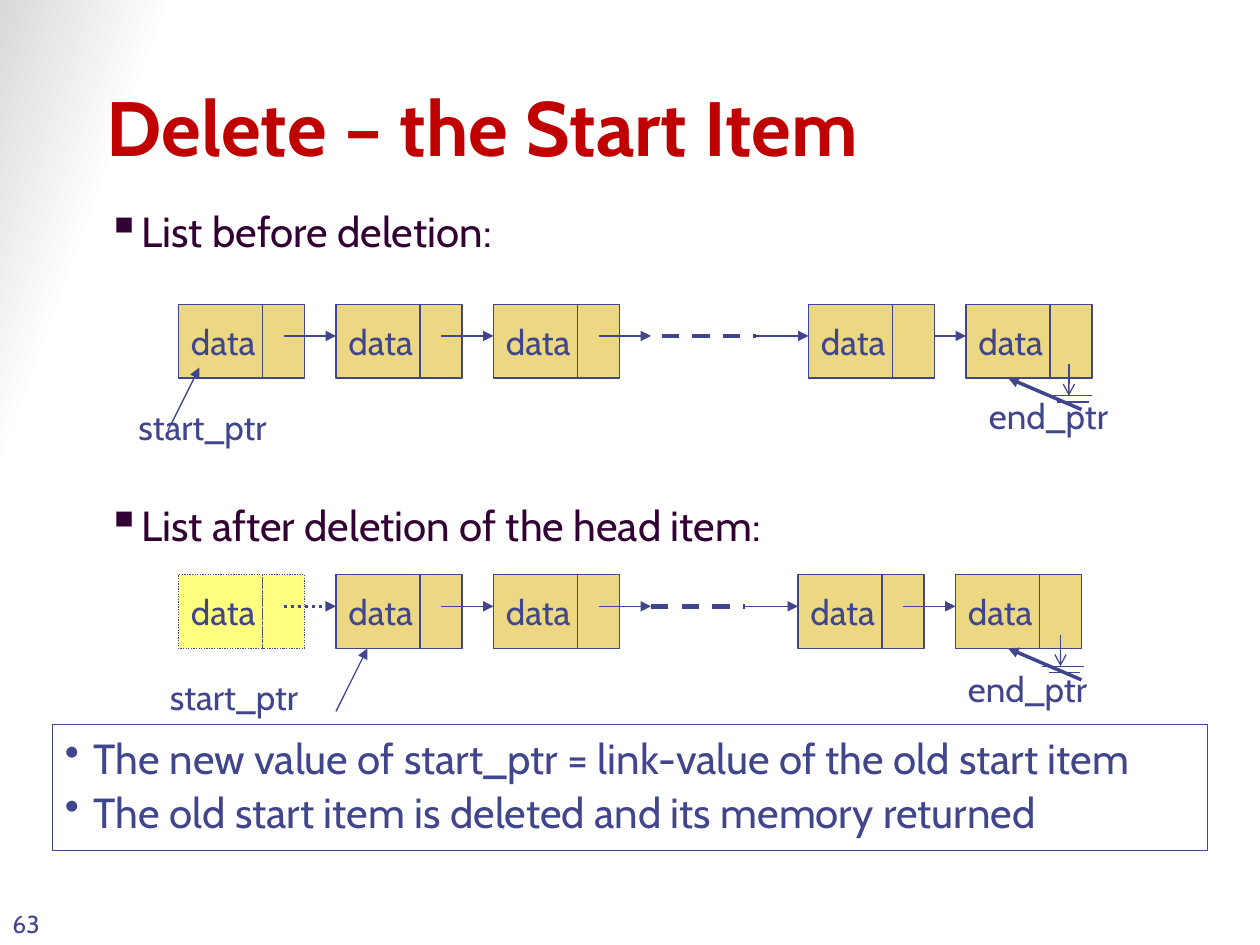
from dataclasses import dataclass

from lxml.etree import SubElement
from pptx import Presentation
from pptx.dml.color import RGBColor
from pptx.enum.dml import MSO_LINE
from pptx.enum.shapes import MSO_CONNECTOR, MSO_SHAPE
from pptx.enum.text import MSO_ANCHOR, PP_ALIGN
from pptx.oxml.ns import qn
from pptx.util import Inches, Pt

INK = RGBColor(0x40, 0x45, 0x8C)
PLUM = RGBColor(0x33, 0x00, 0x33)
RED = RGBColor(0xC0, 0x00, 0x00)
GOLD = RGBColor(0xEC, 0xD8, 0x82)
YELLOW = RGBColor(0xFF, 0xFF, 0x00)
WHITE = RGBColor(0xFF, 0xFF, 0xFF)
GREY = RGBColor(0xD9, 0xD9, 0xD9)
FONT = "Cabin"

# Grid of 120 columns by 90 rows, twelve cells to the inch
CELL = Inches(1) / 12
DATA_COLS, LINK_COLS, NODE_ROWS = 8, 4, 7
LINK_ROW = 3


@dataclass(frozen=True)
class Node:
    col: float
    linked: bool = True
    freed: bool = False


@dataclass(frozen=True)
class Pointer:
    label: str
    label_at: tuple[float, float]
    tail: tuple[float, float]
    head: tuple[float, float]
    width: float


@dataclass(frozen=True)
class LinkedList:
    """One chain of nodes; rows of its parts are counted from its top row."""
    row: float
    nodes: tuple[Node, ...]
    gap_col: float
    ground_col: float
    pointers: tuple[Pointer, ...]


BEFORE = LinkedList(
    29, (Node(17, linked=False), Node(32), Node(47), Node(92), Node(77)), 63, 101.8,
    (Pointer("start_ptr", (12, 9), (16, 12), (19, 6), 0.75),
     Pointer("end_ptr", (93, 8), (103, 10), (96, 7), 0)))
AFTER = LinkedList(
    54.75, (Node(32, linked=False), Node(47), Node(76), Node(91),
            Node(17, linked=False, freed=True)), 62, 101,
    (Pointer("start_ptr", (15, 9), (32, 13), (35, 7), 0.75),
     Pointer("end_ptr", (91, 8.25), (103, 10), (96, 7), 0)))


def grid(*cells: float) -> list[int]:
    return [round(cell * CELL) for cell in cells]


def write(shape, lines: list[str], size: float, color: RGBColor,
          anchor=MSO_ANCHOR.TOP, wrap: bool = True, bold: bool = False):
    frame = shape.text_frame
    frame.text = "\n".join(lines)
    frame.word_wrap = wrap
    frame.vertical_anchor = anchor
    for paragraph in frame.paragraphs:
        paragraph.alignment = PP_ALIGN.LEFT
        font = paragraph.runs[0].font
        font.name, font.size, font.bold = FONT, Pt(size), bold
        font.color.rgb = color
    return frame


def add_label(slide, box: tuple[float, ...], lines: list[str], size: float,
              color: RGBColor = INK, **style):
    return write(slide.shapes.add_textbox(*grid(*box)), lines, size, color, **style)


def add_bullet(paragraph, mark: str, percent: int, hang: float) -> None:
    props = paragraph._p.get_or_add_pPr()
    props.set("marL", str(Inches(hang)))
    props.set("indent", str(-Inches(hang)))
    SubElement(props, qn("a:buSzPct")).set("val", str(percent * 1000))
    SubElement(props, qn("a:buChar")).set("char", mark)


def add_box(slide, box: tuple[float, ...], fill: RGBColor | None = None,
            width: float = 0.75, freed: bool = False):
    shape = slide.shapes.add_shape(MSO_SHAPE.RECTANGLE, *grid(*box))
    shape.shadow.inherit = False
    shape.line.color.rgb, shape.line.width = INK, Pt(width)
    if fill is None:
        shape.fill.background()
    else:
        shape.fill.solid()
        shape.fill.fore_color.rgb = fill
    if freed:
        shape.line.dash_style = MSO_LINE.ROUND_DOT
        tint = shape._element.spPr.find(qn("a:solidFill"))[0]
        SubElement(tint, qn("a:alpha")).set("val", "50000")
    return shape


def add_line(slide, start: tuple[float, float], end: tuple[float, float],
             width: float = 0.75, head: str = "", dash=None) -> None:
    line = slide.shapes.add_connector(MSO_CONNECTOR.STRAIGHT, *grid(*start, *end))
    line.line.color.rgb, line.line.width = INK, Pt(width)
    if dash:
        line.line.dash_style = dash
    if head:
        SubElement(line.line._get_or_add_ln(), qn("a:tailEnd")).set("type", head)
    SubElement(line._element.spPr, qn("a:effectLst"))


def draw_node(slide, node: Node, row: float) -> None:
    fill = YELLOW if node.freed else GOLD
    data = add_box(slide, (node.col, row, DATA_COLS, NODE_ROWS), fill, freed=node.freed)
    write(data, ["data"], 20, INK, MSO_ANCHOR.MIDDLE, wrap=False)
    add_box(slide, (node.col + DATA_COLS, row, LINK_COLS, NODE_ROWS), fill,
            freed=node.freed)
    link = row + LINK_ROW
    if node.linked:
        add_line(slide, (node.col - 5, link), (node.col, link), head="triangle")
    if node.freed:
        add_line(slide, (node.col + 10, link), (node.col + 15, link), 0, "triangle",
                 MSO_LINE.ROUND_DOT)


def draw_ground(slide, col: float, row: float) -> None:
    add_line(slide, (col - 1.8, row + 8.7), (col + 2.2, row + 8.7))
    add_line(slide, (col - 1.1, row + 9.3), (col + 1.9, row + 9.3))
    add_line(slide, (col, row + 5.7), (col, row + 8.7), head="arrow")


def draw_list(slide, chain: LinkedList) -> None:
    row, link = chain.row, chain.row + LINK_ROW
    for node in chain.nodes:
        draw_node(slide, node, row)
    # Items left out in the middle
    add_line(slide, (57, link), (62, link), head="triangle")
    add_line(slide, (chain.gap_col, link), (chain.gap_col + 9, link), 2.5,
             dash=MSO_LINE.DASH)
    for pointer in chain.pointers:
        (tail_col, tail_row), (head_col, head_row) = pointer.tail, pointer.head
        add_line(slide, (tail_col, row + tail_row), (head_col, row + head_row),
                 pointer.width, "triangle")
        label_col, label_row = pointer.label_at
        add_label(slide, (label_col, row + label_row, 18, 5.25), [pointer.label], 20)
    draw_ground(slide, chain.ground_col, row)


def main() -> None:
    deck = Presentation()
    deck.slide_width, deck.slide_height = grid(120, 90)
    slide = deck.slides.add_slide(deck.slide_layouts[6])

    # Background shaded towards the top left corner
    backdrop = slide.background.fill
    backdrop.gradient()
    backdrop.gradient_angle = 160
    for stop, color, position in zip(backdrop.gradient_stops, (WHITE, GREY), (0.89, 1)):
        stop.color.rgb, stop.position = color, position

    # Title, slide number and list headings
    add_label(slide, (9, 8, 102, 9), ["Delete – the Start Item"], 44, RED,
              anchor=MSO_ANCHOR.BOTTOM, bold=True)
    add_label(slide, (0, 84, 7, 6), ["63"], 14, anchor=MSO_ANCHOR.BOTTOM)
    headings = add_label(
        slide, (9, 19, 102, 60),
        ["List before deletion:", "List after deletion of the head item:"], 24, PLUM)
    for heading, space in zip(headings.paragraphs, (5, 139)):
        heading.space_before = Pt(space)
        add_bullet(heading, "▪", 110, 0)

    for chain in (BEFORE, AFTER):
        draw_list(slide, chain)

    # Conclusions
    conclusions = write(
        add_box(slide, (5, 69, 110, 12), width=0),
        ["The new value of start_ptr = link-value of the old start item",
         "The old start item is deleted and its memory returned"],
        24, INK, MSO_ANCHOR.MIDDLE)
    for conclusion in conclusions.paragraphs:
        conclusion.alignment = PP_ALIGN.JUSTIFY
        conclusion.line_spacing, conclusion.space_before = 0.9, Pt(5)
        add_bullet(conclusion, "•", 100, 0.23)

    deck.save("out.pptx")


if __name__ == "__main__":
    main()
